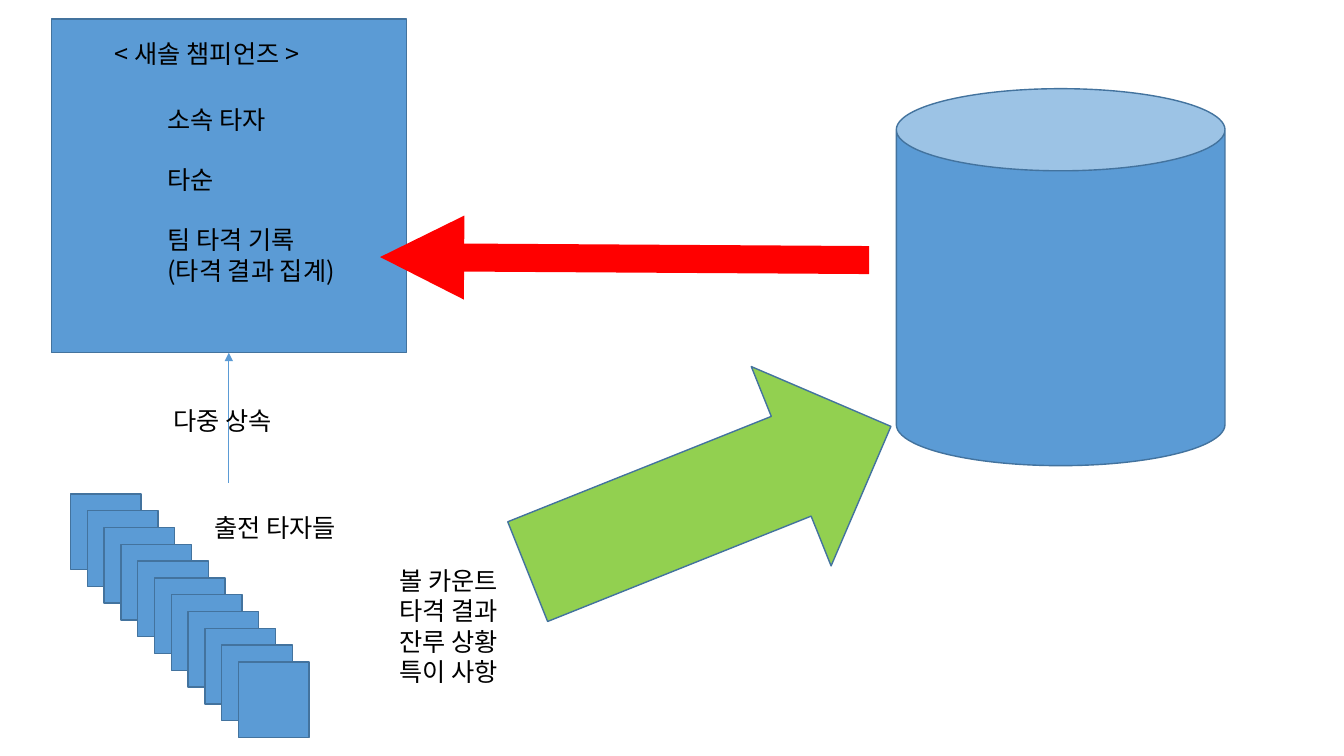
from dataclasses import dataclass

from lxml import etree
from pptx import Presentation
from pptx import util as u
from pptx.dml import color
from pptx.enum import shapes, text
from pptx.oxml import ns


@dataclass(frozen=True)
class Theme:
    font: str = "Noto Sans CJK KR"
    size: float = 18
    leading: float = 21.6
    outline_width: float = 1
    ink: str = "000000"
    blue: str = "5B9BD5"
    outline: str = "43739E"
    red: str = "FF0000"
    green: str = "92D050"


@dataclass(frozen=True)
class Frame:
    left: float
    top: float
    width: float
    height: float


@dataclass(frozen=True)
class Block:
    frame: Frame
    kind: shapes.MSO_SHAPE
    fill: str
    rotation: float = 0


@dataclass(frozen=True)
class Arrow:
    start: tuple[float, float]
    end: tuple[float, float]
    color: str
    width: float


@dataclass(frozen=True)
class Line:
    words: str
    blank_lines_before: int = 0


@dataclass(frozen=True)
class Label:
    frame: Frame
    lines: tuple[Line, ...]


THEME = Theme()
CARD_COUNT = 11
CARD_STEP = 1 / 6

TEAM = Block(Frame(0.51, 0.19, 3.52, 3.31), shapes.MSO_SHAPE.RECTANGLE, THEME.blue)
BATTERS = [
    Block(
        Frame(0.7 + i * CARD_STEP, 4.9 + i * CARD_STEP, 0.7, 0.75),
        shapes.MSO_SHAPE.RECTANGLE,
        THEME.blue,
    )
    for i in range(CARD_COUNT)
]
DATABASE = Block(Frame(8.89, 0.88, 3.26, 3.74), shapes.MSO_SHAPE.CAN, THEME.blue)
UPLOAD = Block(
    Frame(5.97, 3.01, 2.13, 3.88), shapes.MSO_SHAPE.DOWN_ARROW, THEME.green, 248.2
)
INHERITANCE = Arrow((2.27, 4.79), (2.27, 3.5), THEME.blue, 0.5)
DOWNLOAD = Arrow((8.62, 2.58), (3.77, 2.55), THEME.red, 20)

TEAM_NAME = Label(Frame(1.04, 0.33, 4.99, 0.4), (Line("< 새솔 챔피언즈 >"),))
TEAM_DATA = Label(
    Frame(1.56, 0.98, 2.21, 2.52),
    (
        Line("소속 타자"),
        Line("타순", 1),
        Line("팀 타격 기록", 1),
        Line("(타격 결과 집계)"),
    ),
)
PLAY_DATA = Label(
    Frame(3.86, 5.56, 3.65, 1.62),
    (Line("볼 카운트"), Line("타격 결과"), Line("잔루 상황"), Line("특이 사항")),
)
CAPTIONS = (
    Label(Frame(2.03, 5.03, 2.81, 0.4), (Line("출전 타자들"),)),
    Label(Frame(1.62, 3.97, 1.74, 0.4), (Line("다중 상속"),)),
)


def rgb(value: str) -> color.RGBColor:
    return color.RGBColor.from_string(value)


def inches(frame: Frame) -> tuple[u.Length, ...]:
    return tuple(
        u.Inches(side) for side in (frame.left, frame.top, frame.width, frame.height)
    )


def draw_block(page, block: Block) -> None:
    shape = page.shapes.add_shape(block.kind, *inches(block.frame))
    shape.shadow.inherit = False
    shape.rotation = block.rotation
    shape.fill.solid()
    shape.fill.fore_color.rgb = rgb(block.fill)
    shape.line.color.rgb = rgb(THEME.outline)
    shape.line.width = u.Pt(THEME.outline_width)


def draw_arrow(page, arrow: Arrow) -> None:
    ends = [u.Inches(value) for value in (*arrow.start, *arrow.end)]
    connector = page.shapes.add_connector(shapes.MSO_CONNECTOR.STRAIGHT, *ends)
    connector.line.color.rgb = rgb(arrow.color)
    connector.line.width = u.Pt(arrow.width)
    properties = connector.element.spPr
    outline = properties.find(ns.qn("a:ln"))
    etree.SubElement(outline, ns.qn("a:tailEnd"), type="triangle")
    etree.SubElement(properties, ns.qn("a:effectLst"))


def write_lines(box, lines: tuple[Line, ...]) -> None:
    frame = box.text_frame
    frame.word_wrap = True
    frame.auto_size = text.MSO_AUTO_SIZE.NONE
    frame.vertical_anchor = text.MSO_ANCHOR.TOP
    for index, line in enumerate(lines):
        para = frame.add_paragraph() if index else frame.paragraphs[0]
        para.alignment = text.PP_ALIGN.LEFT
        para.line_spacing = u.Pt(THEME.leading)
        para.space_before = u.Pt(THEME.leading * line.blank_lines_before)
        properties = para._p.get_or_add_pPr()
        properties.set("marL", "0")
        properties.set("indent", "0")
        etree.SubElement(properties, ns.qn("a:buNone"))
        span = para.add_run()
        span.text = line.words
        span.font.size = u.Pt(THEME.size)
        span.font.color.rgb = rgb(THEME.ink)
        span.font.name = THEME.font
        etree.SubElement(
            span._r.get_or_add_rPr(), ns.qn("a:ea"), typeface=THEME.font
        )


def fill_placeholder(box, label: Label) -> None:
    box.left, box.top, box.width, box.height = inches(label.frame)
    box.element.getparent().append(box.element)
    write_lines(box, label.lines)


def draw_caption(page, label: Label) -> None:
    write_lines(page.shapes.add_textbox(*inches(label.frame)), label.lines)


def main() -> None:
    deck = Presentation()
    deck.slide_width, deck.slide_height = u.Inches(13.33), u.Inches(7.5)
    page = deck.slides.add_slide(deck.slide_layouts.get_by_name("Two Content"))
    title, team_list, play_list = list(page.placeholders)[:3]

    for block in (TEAM, *BATTERS, DATABASE, UPLOAD):
        draw_block(page, block)
    for arrow in (INHERITANCE, DOWNLOAD):
        draw_arrow(page, arrow)
    fill_placeholder(title, TEAM_NAME)
    fill_placeholder(team_list, TEAM_DATA)
    fill_placeholder(play_list, PLAY_DATA)
    for caption in CAPTIONS:
        draw_caption(page, caption)

    deck.save("out.pptx")


main()
